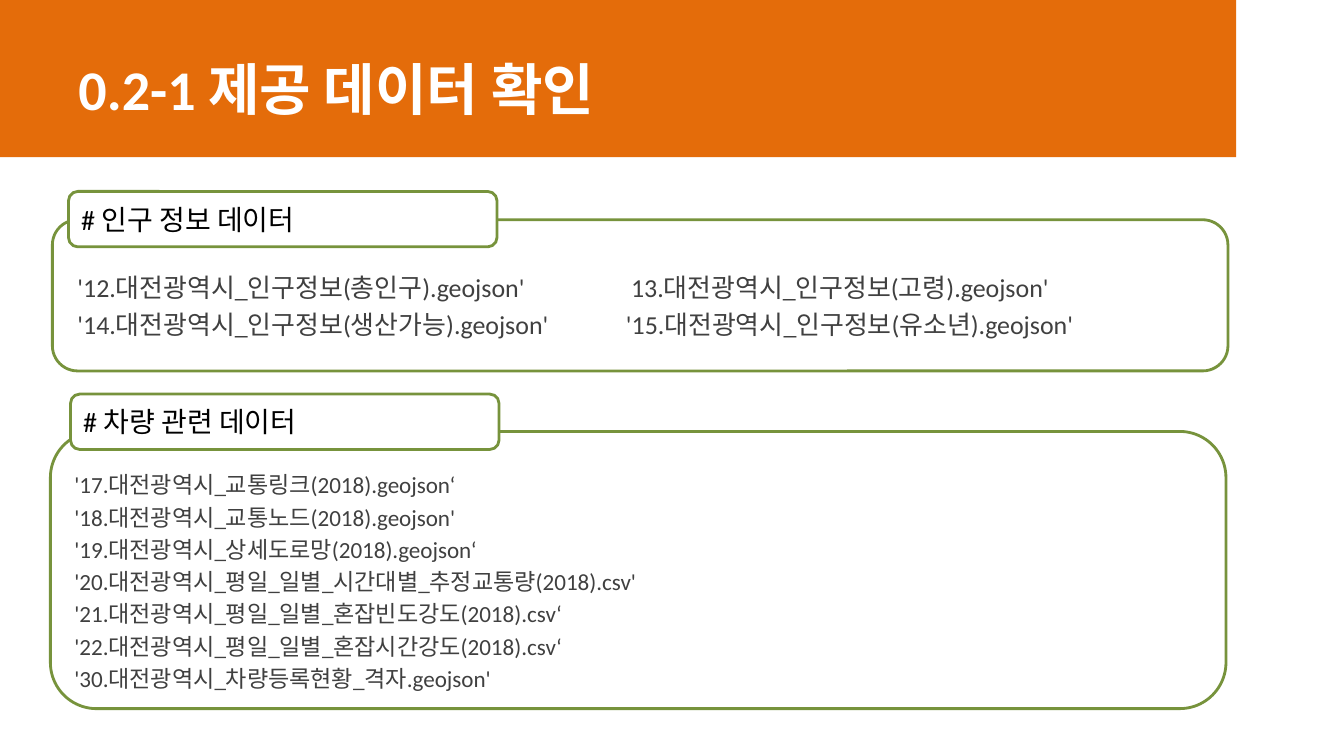
from lxml.etree import SubElement
from pptx import Presentation
from pptx.dml.color import RGBColor
from pptx.enum.shapes import MSO_SHAPE
from pptx.enum.text import MSO_ANCHOR, PP_ALIGN
from pptx.oxml.ns import qn
from pptx.util import Inches, Pt

deck = Presentation()
deck.slide_width, deck.slide_height = Inches(13.33), Inches(7.5)
slide = deck.slides.add_slide(deck.slide_layouts[6])
hue = RGBColor.from_string


def area(left, top, wide, high):
    """Turn percent shares of the slide into lengths."""
    w, h = deck.slide_width, deck.slide_height
    return [int(part * side / 100)
            for part, side in zip((left, top, wide, high), (w, h, w, h))]


def write(shape, lines, size, color, bold=False, mid=True, stops=()):
    """Fill a shape with left-aligned lines; stops holds one tab per line, in inches."""
    frame = shape.text_frame
    frame.word_wrap = True
    frame.vertical_anchor = MSO_ANCHOR.MIDDLE if mid else MSO_ANCHOR.TOP
    look = {"name": "Calibri", "size": Pt(size), "bold": bold}
    for row, line in enumerate(lines):
        para = frame.add_paragraph() if row else frame.paragraphs[0]
        para.alignment = PP_ALIGN.LEFT
        if row:
            para.space_before = Pt(size * 0.2)
        if stops:
            tabs = SubElement(para._p.get_or_add_pPr(), qn("a:tabLst"))
            SubElement(tabs, qn("a:tab"), pos=str(Inches(stops[row])), algn="l")
        run = para.add_run()
        run.text = line
        for key, value in look.items():
            setattr(run.font, key, value)
        run.font.color.rgb = hue(color)


band = slide.shapes.add_shape(MSO_SHAPE.RECTANGLE, *area(0, 0, 91.97, 20.8))
band.shadow.inherit = False
band.fill.solid()
band.fill.fore_color.rgb = hue("E46C0A")
band.line.fill.background()
title = slide.shapes.add_textbox(*area(5.1, 5.87, 67.59, 11.6))
write(title, ["0.2-1 제공 데이터 확인"], 40, "FFFFFF", bold=True)

groups = [
    {"head": "# 인구 정보 데이터", "size": 18.5, "stops": (5.49, 5.44),
     "box": (3.9, 29.07, 87.47, 20), "tag": (5.1, 25.33, 31.88, 7.33),
     "body": (5.03, 35.33, 80.72, 11.6),
     "lines": [
         "'12.대전광역시_인구정보(총인구).geojson'\t13.대전광역시_인구정보(고령).geojson'",
         "'14.대전광역시_인구정보(생산가능).geojson'\t'15.대전광역시_인구정보(유소년).geojson'"]},
    {"head": "# 차량 관련 데이터", "size": 16.5, "stops": (),
     "box": (3.75, 57.07, 87.47, 36.67), "tag": (5.25, 52.13, 31.88, 7.33),
     "body": (4.8, 61.6, 84.47, 32.27),
     "lines": [
         "'17.대전광역시_교통링크(2018).geojson‘",
         "'18.대전광역시_교통노드(2018).geojson'",
         "'19.대전광역시_상세도로망(2018).geojson‘",
         "'20.대전광역시_평일_일별_시간대별_추정교통량(2018).csv'",
         "'21.대전광역시_평일_일별_혼잡빈도강도(2018).csv‘",
         "'22.대전광역시_평일_일별_혼잡시간강도(2018).csv‘",
         "'30.대전광역시_차량등록현황_격자.geojson'"]},
]
for group in groups:
    for part in ("box", "tag"):
        card = slide.shapes.add_shape(MSO_SHAPE.ROUNDED_RECTANGLE, *area(*group[part]))
        card.shadow.inherit = False
        card.fill.solid()
        card.fill.fore_color.rgb = hue("FFFFFF")
        card.line.color.rgb = hue("77933C")
        card.line.width = Pt(2)
    write(card, [group["head"]], 20, "000000")
    body = slide.shapes.add_textbox(*area(*group["body"]))
    write(body, group["lines"], group["size"], "404040", mid=False, stops=group["stops"])

deck.save("out.pptx")
